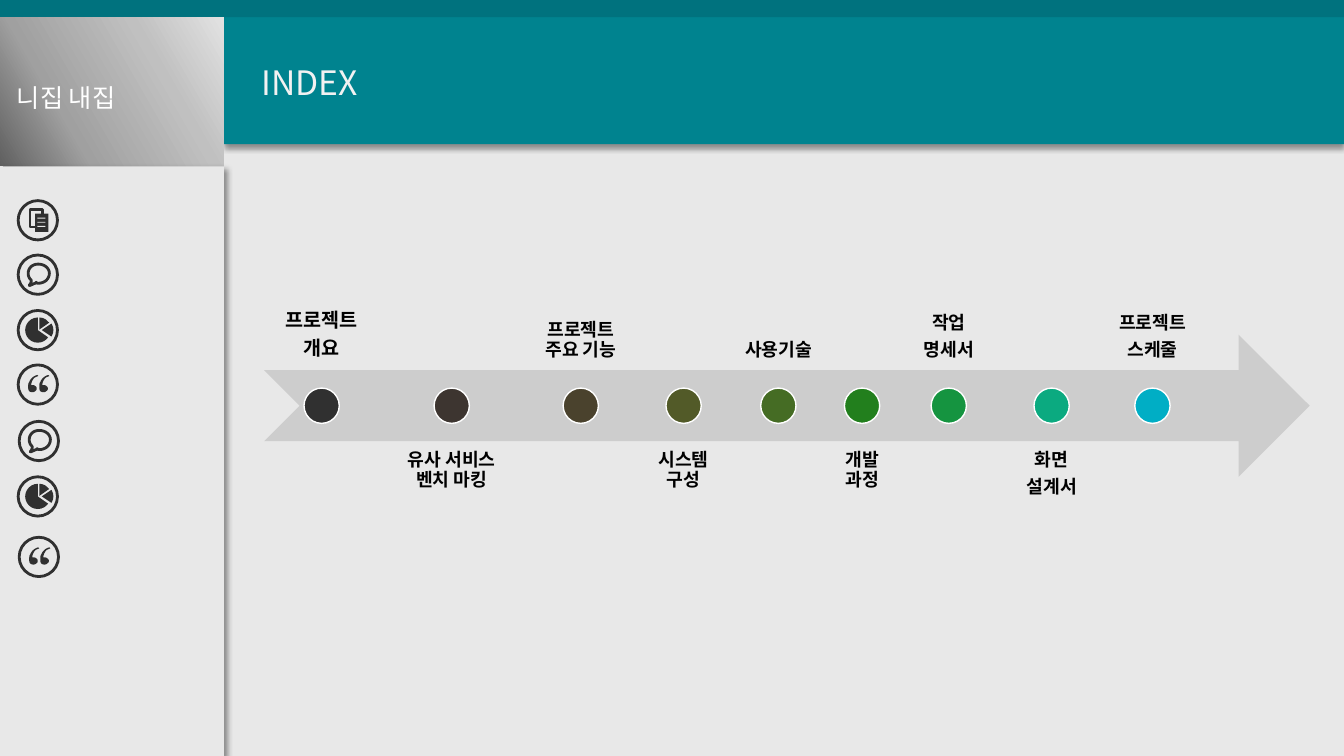
from lxml import etree
from pptx import Presentation
from pptx import util as u
from pptx.dml import color
from pptx.enum import shapes, text
from pptx.oxml import ns

FONT = "Noto Sans CJK KR"
INK = "303030"
PAPER = "E8E8E8"
SHAPE = shapes.MSO_SHAPE

PAGE_OUTLINE = [(0.12, 0.09), (0.24, 0.09), (0.24, 0.16), (0.19, 0.16), (0.19, 0.26), (0.12, 0.26)]
BUBBLE = [
    (0.2, 0.09),
    (0.26, 0.09, 0.31, 0.13, 0.31, 0.18),
    (0.31, 0.24, 0.26, 0.28, 0.2, 0.28),
    (0.18, 0.28, 0.18, 0.27, 0.18, 0.27),
    (0.17, 0.28),
    (0.16, 0.28, 0.11, 0.31, 0.11, 0.3),
    (0.13, 0.28, 0.13, 0.26, 0.13, 0.25),
    (0.11, 0.23, 0.1, 0.21, 0.1, 0.18),
    (0.1, 0.13, 0.14, 0.09, 0.2, 0.09),
]
QUOTE_MARK = [
    (0.19, 0.1),
    (0.2, 0.11),
    (0.18, 0.12, 0.17, 0.12, 0.16, 0.13),
    (0.15, 0.14, 0.13, 0.17, 0.13, 0.2),
    (0.15, 0.2, 0.16, 0.2, 0.17, 0.21),
    (0.19, 0.22, 0.19, 0.25, 0.17, 0.26),
    (0.15, 0.28, 0.12, 0.27, 0.11, 0.26),
    (0.1, 0.25, 0.1, 0.23, 0.1, 0.22),
    (0.1, 0.2, 0.1, 0.18, 0.11, 0.17),
    (0.12, 0.14, 0.15, 0.11, 0.19, 0.1),
]
PIE_SLICES = [
    (0.07, 0.07, 0.25, 35, 270),
    (0.12, 0.08, 0.23, 326, 34),
    (0.09, 0.07, 0.24, 270, 325),
]
MENU = [
    ("page", 0.18, 1.99), ("bubble", 0.18, 2.53), ("pie", 0.18, 3.08), ("quote", 0.18, 3.62),
    ("bubble", 0.19, 4.18), ("pie", 0.18, 4.73), ("quote", 0.19, 5.33),
]
STEPS = [
    (["프로젝트", "개요"], 3.19, 1.14, "303030", 14),
    (["유사 서비스 벤치 마킹"], 4.48, 1.37, "3D3530", 13),
    (["프로젝트 주요 기능"], 5.76, 1.15, "4A422D", 13),
    (["시스템구성"], 6.78, 0.82, "525A28", 13),
    (["사용기술"], 7.72, 0.99, "456C24", 13),
    (["개발과정"], 8.55, 0.6, "227F1D", 13),
    (["작업", "명세서"], 9.41, 1.07, "159440", 13),
    (["화면", "설계서"], 10.43, 0.91, "0BAA80", 13),
    (["프로젝트", "스케줄"], 11.43, 1.03, "00AEC5", 13),
]


def rgb(value):
    return color.RGBColor.from_string(value)


def apply(target, values):
    for name, value in values.items():
        setattr(target, name, value)


def paint(shape, fill=None, line=None, weight=1):
    shape.shadow.inherit = False
    if fill:
        shape.fill.solid()
        shape.fill.fore_color.rgb = rgb(fill)
    else:
        shape.fill.background()
    if line:
        shape.line.color.rgb = rgb(line)
        shape.line.width = u.Pt(weight)
    else:
        shape.line.fill.background()
    return shape


def block(slide, kind, left, top, width, height, **style):
    shape = slide.shapes.add_shape(kind, *map(u.Inches, (left, top, width, height)))
    return paint(shape, **style)


def cast_shadow(shape, angle):
    effects = shape._element.spPr.find(ns.qn("a:effectLst"))
    outer = etree.SubElement(effects, ns.qn("a:outerShdw"), blurRad=str(u.Pt(4)),
                             dist=str(u.Pt(3)), dir=str(angle * 60000), rotWithShape="0")
    shade = etree.SubElement(outer, ns.qn("a:srgbClr"), val="000000")
    etree.SubElement(shade, ns.qn("a:alpha"), val="40000")


def blend(shape, stops, angle):
    shape.fill.gradient()
    shape.fill.gradient_angle = angle
    stop_list = shape._element.spPr.find(".//" + ns.qn("a:gsLst"))
    for stop in list(stop_list):
        stop_list.remove(stop)
    for position, value in stops:
        stop = etree.SubElement(stop_list, ns.qn("a:gs"), pos=str(position * 1000))
        etree.SubElement(stop, ns.qn("a:srgbClr"), val=value)


def write(shape, lines, size, ink, bold=False, align=text.PP_ALIGN.LEFT,
          anchor=text.MSO_ANCHOR.MIDDLE, wrap=False, inset=(0.1, 0.05), tight=False):
    frame = shape.text_frame
    frame.text = "\n".join(lines)
    side, end = map(u.Inches, inset)
    apply(frame, {"word_wrap": wrap, "auto_size": text.MSO_AUTO_SIZE.NONE,
                  "vertical_anchor": anchor, "margin_left": side, "margin_right": side,
                  "margin_top": end, "margin_bottom": end})
    for paragraph in frame.paragraphs:
        paragraph.alignment = align
        if tight:
            paragraph.line_spacing = u.Pt(size * 1.1)
        font = paragraph.runs[0].font
        apply(font, {"name": FONT, "size": u.Pt(size), "bold": bold})
        font.color.rgb = rgb(ink)
        etree.SubElement(font._element, ns.qn("a:ea"), typeface=FONT)
    for paragraph in frame.paragraphs[:-1]:
        paragraph.space_after = u.Pt(size * 0.35)


def flatten(segments, samples=8):
    points = [segments[0]]
    for segment in segments[1:]:
        if len(segment) == 2:
            points.append(segment)
            continue
        nodes = [points[-1], segment[:2], segment[2:4], segment[4:]]
        for step in range(1, samples + 1):
            t = step / samples
            weights = ((1 - t) ** 3, 3 * t * (1 - t) ** 2, 3 * t * t * (1 - t), t ** 3)
            points.append(tuple(sum(w * n[axis] for w, n in zip(weights, nodes)) for axis in (0, 1)))
    return points


def outline(slide, left, top, segments, **style):
    points = [(u.Inches(left + x), u.Inches(top + y)) for x, y in flatten(segments)]
    builder = slide.shapes.build_freeform(*points[0])
    builder.add_line_segments(points[1:], close=True)
    return paint(builder.convert_to_shape(), **style)


def menu_icon(slide, kind, left, top):
    block(slide, SHAPE.OVAL, left, top, 0.39, 0.39, line=INK, weight=2)
    if kind == "page":
        outline(slide, left, top, PAGE_OUTLINE, line=INK, weight=1.75)
        block(slide, SHAPE.RECTANGLE, left + 0.17, top + 0.13, 0.13, 0.18, fill=INK)
        for row in range(3):
            block(slide, SHAPE.RECTANGLE, left + 0.19, top + 0.17 + row * 0.04, 0.08, 0.01, fill=PAPER)
    elif kind == "bubble":
        outline(slide, left, top, BUBBLE, line=INK, weight=2)
    elif kind == "pie":
        for dx, dy, size, start, end in PIE_SLICES:
            wedge = block(slide, SHAPE.PIE, left + dx, top + dy, size, size, fill=INK)
            wedge.adjustments[0] = start * 0.6
            wedge.adjustments[1] = end * 0.6
    else:
        for shift in (0, 0.11):
            outline(slide, left + shift, top, QUOTE_MARK, fill=INK)


def header(slide, left, top, width, height):
    banner = block(slide, SHAPE.RECTANGLE, left, top, width, height, fill="00838F")
    cast_shadow(banner, 90)
    block(slide, SHAPE.RECTANGLE, 0, 0, left + width, top, fill="00727E")
    title = slide.shapes.title
    slide.shapes._spTree.append(title._element)
    apply(title, {"left": u.Inches(left + 0.27), "top": u.Inches(top + 0.39),
                  "width": u.Inches(1.27), "height": u.Inches(0.5)})
    write(title, ["INDEX"], 24, "F2F2F2")


def sidebar(slide, left, top, width, height):
    crown_height = 1.48
    crown = block(slide, SHAPE.RECTANGLE, left, top, width, crown_height)
    blend(crown, [(0, "606060"), (30, "A0A0A0"), (70, "C0C0C0"), (100, "E2E2E2")], 30)
    team = slide.shapes.add_textbox(*map(u.Inches, (left + 0.07, top + 0.6, 1.27, 0.4)))
    write(team, ["니집 내집"], 18, "FFFFFF")
    panel = block(slide, SHAPE.RECTANGLE, left, top + crown_height, width, height - crown_height, fill=PAPER)
    cast_shadow(panel, 45)
    for kind, x, y in MENU:
        menu_icon(slide, kind, left + x, y)


def timeline(slide, left, top, width, height):
    block(slide, SHAPE.NOTCHED_RIGHT_ARROW, left, top, width, height, fill="CDCDCD")
    dot = 0.35
    for index, (lines, center, label_width, fill, size) in enumerate(STEPS):
        below = index % 2
        label_top = top + 1.05 if below else top - 1.06
        label = slide.shapes.add_textbox(
            *map(u.Inches, (center - label_width / 2, label_top, label_width, height)))
        write(label, lines, size, "000000", bold=True, align=text.PP_ALIGN.CENTER, wrap=True,
              anchor=text.MSO_ANCHOR.TOP if below else text.MSO_ANCHOR.BOTTOM,
              inset=(0.1, 0.1), tight=True)
        block(slide, SHAPE.OVAL, center - dot / 2, top + (height - dot) / 2, dot, dot,
              fill=fill, line="FFFFFF")


def main():
    deck = Presentation()
    apply(deck, {"slide_width": u.Inches(13.33), "slide_height": u.Inches(7.5)})
    slide = deck.slides.add_slide(deck.slide_layouts[5])
    slide.background.fill.solid()
    slide.background.fill.fore_color.rgb = rgb(PAPER)
    header(slide, 2.22, 0.17, 11.11, 1.26)
    sidebar(slide, 0, 0.17, 2.22, 7.33)
    timeline(slide, 2.62, 3.32, 10.37, 1.41)
    deck.save("out.pptx")


if __name__ == "__main__":
    main()
